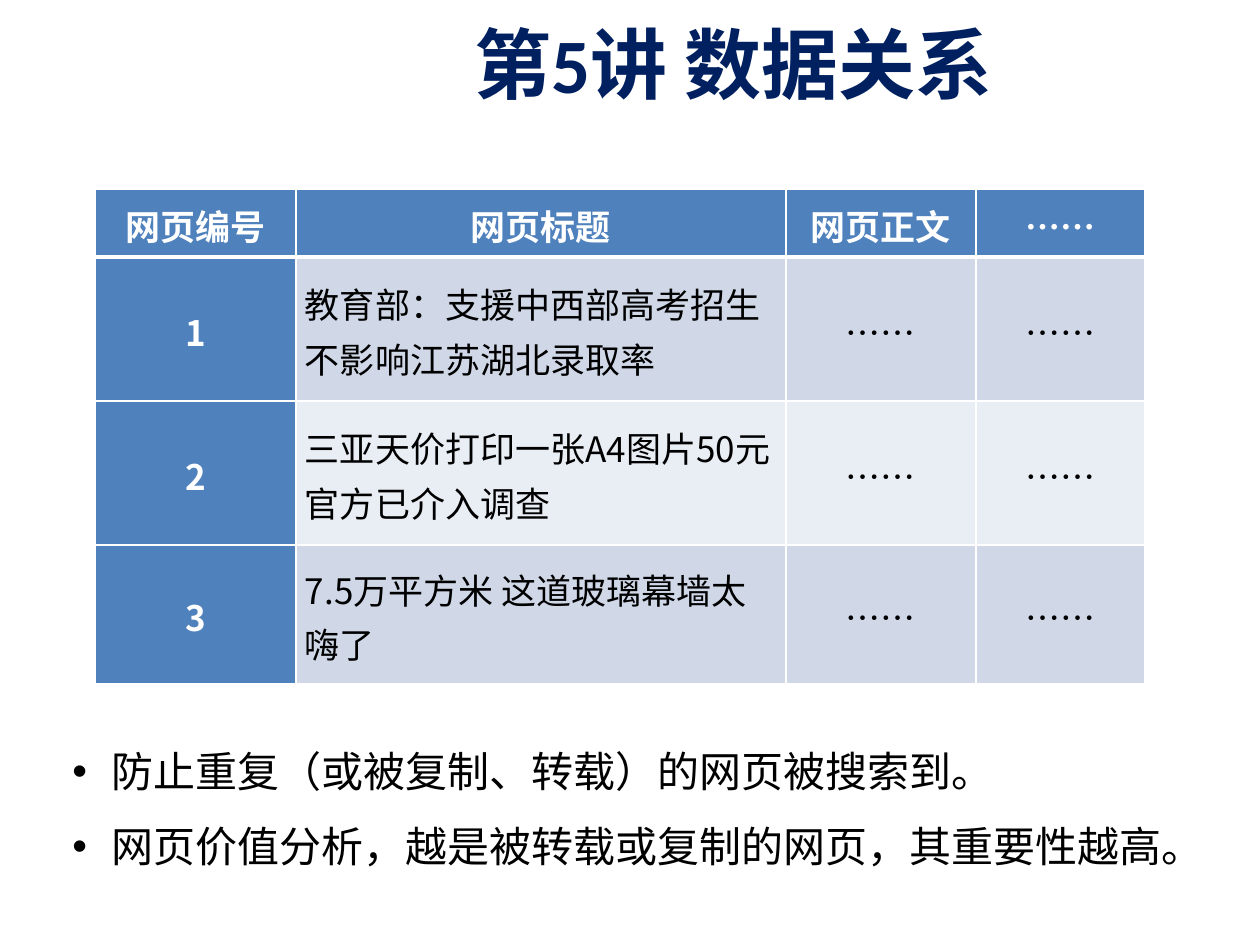
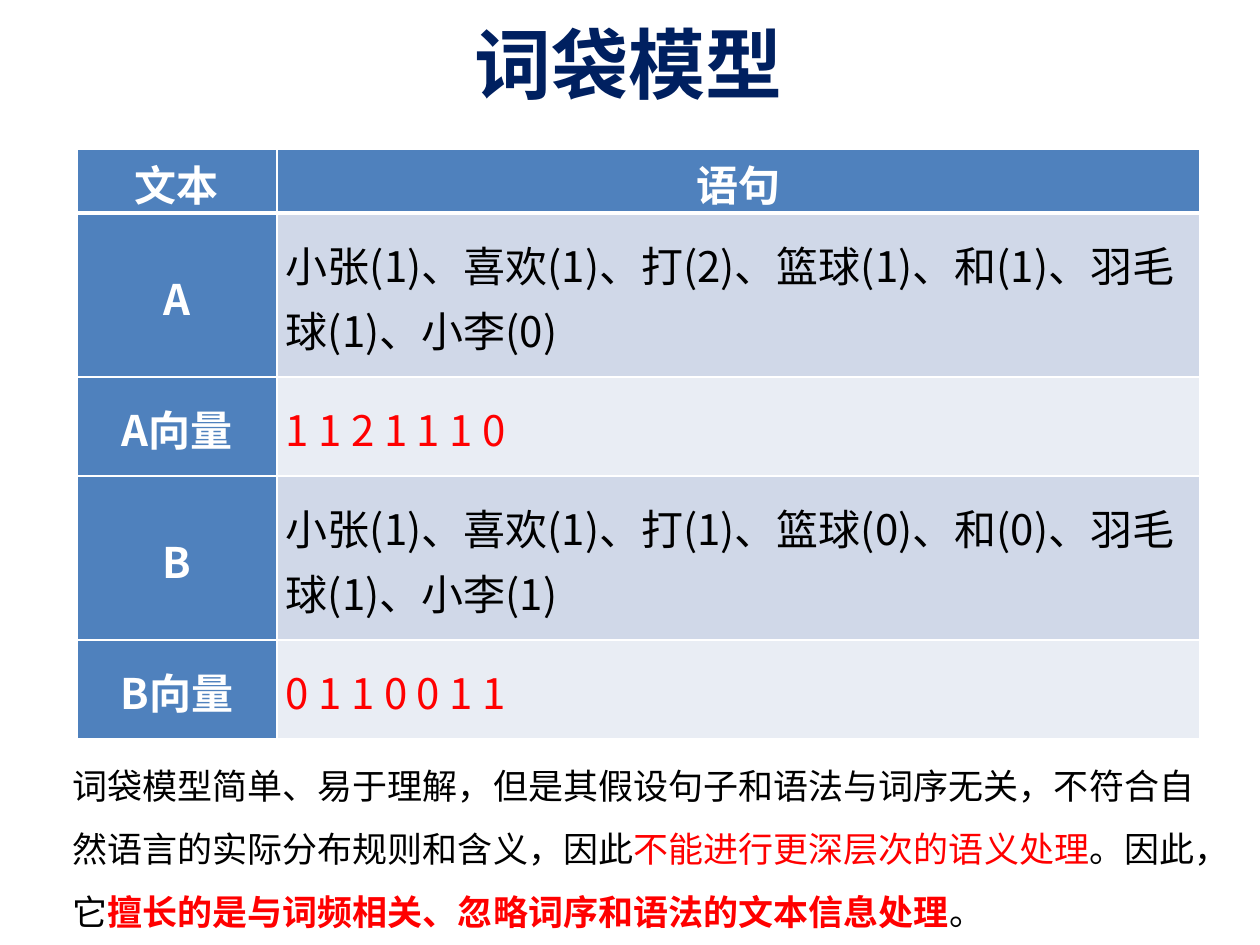
from lxml import etree
from pptx import Presentation
from pptx.dml.color import RGBColor
from pptx.enum.text import MSO_ANCHOR, MSO_AUTO_SIZE, PP_ALIGN
from pptx.oxml.ns import qn
from pptx.util import Pt

PX = 914400 / 126  # EMU per px
COLORS = {
    "title": "002060",
    "head": "4F81BD",
    "band_dark": "D0D8E8",
    "band_light": "E9EDF4",
    "white": "FFFFFF",
    "black": "000000",
    "red": "FF0000",
}
TITLE_FONT, BODY_FONT = "Calibri", "Noto Sans CJK SC"


def px(n):
    return round(n * PX)


def rgb(name):
    return RGBColor.from_string(COLORS[name])


class Deck:
    def __init__(self, width, height):
        self.prs = Presentation()
        self.prs.slide_width, self.prs.slide_height = px(width), px(height)
        self.s = None

    def slide(self, title):
        self.s = self.prs.slides.add_slide(self.prs.slide_layouts[6])
        tf = self.box(462, 21, 714, 126)
        p = tf.paragraphs[0]
        p.line_spacing = 0.9
        self.run(p, title, 44, "title", True, TITLE_FONT)

    def box(self, x, y, w, h):
        tf = self.s.shapes.add_textbox(px(x), px(y), px(w), px(h)).text_frame
        tf.word_wrap = True
        return tf

    def run(self, p, text, size, color="black", bold=False, font=BODY_FONT):
        r = p.add_run()
        r.text = text
        r.font.size, r.font.bold, r.font.name = Pt(size), bold, font
        r.font.color.rgb = rgb(color)
        ea = etree.Element(qn("a:ea"), typeface=BODY_FONT)
        r.font._element.find(qn("a:latin")).addnext(ea)

    def text(self, x, y, w, h, paragraphs, size, bullet=False):
        """Each paragraph is a list of (text, color, bold) runs."""
        tf = self.box(x, y, w, h)
        tf.auto_size = MSO_AUTO_SIZE.SHAPE_TO_FIT_TEXT
        for i, runs in enumerate(paragraphs):
            p = tf.add_paragraph() if i else tf.paragraphs[0]
            p.line_spacing = 1.5
            if bullet:
                self.bullet(p, 39)
            for text, color, bold in runs:
                self.run(p, text, size, color, bold)
        return tf

    def bullet(self, p, indent):
        pPr = p._p.get_or_add_pPr()
        pPr.set("marL", str(px(indent)))
        pPr.set("indent", str(-px(indent)))
        etree.SubElement(pPr, qn("a:buFont"), typeface="Arial")
        etree.SubElement(pPr, qn("a:buChar"), char="•")

    def table(self, x, y, cols, heights, rows, size, red_rows=()):
        frame = self.s.shapes.add_table(len(rows), len(cols), px(x), px(y),
                                        px(sum(cols)), px(sum(heights)))
        tbl = frame.table
        tbl.first_row = tbl.horz_banding = False
        for col, w in zip(tbl.columns, cols):
            col.width = px(w)
        for row, h in zip(tbl.rows, heights):
            row.height = px(h)
        for i, values in enumerate(rows):
            band = "band_dark" if i % 2 else "band_light"
            for j, value in enumerate(values):
                head = i == 0 or j == 0
                color = "white" if head else "red" if i in red_rows else "black"
                align = PP_ALIGN.LEFT if j == 1 and i else PP_ALIGN.CENTER
                cell = tbl.cell(i, j)
                self.borders(cell, top=3 if i == 1 else 1, bottom=1 if i else 3)
                self.cell(cell, value, size, color, head, align,
                          "head" if head else band)

    def cell(self, cell, value, size, color, bold, align, fill):
        cell.fill.solid()
        cell.fill.fore_color.rgb = rgb(fill)
        cell.vertical_anchor = MSO_ANCHOR.MIDDLE
        cell.margin_left = cell.margin_right = px(9)
        cell.margin_top = cell.margin_bottom = 0
        p = cell.text_frame.paragraphs[0]
        p.alignment, p.line_spacing = align, 1.07
        self.run(p, value, size, color, bold)

    def borders(self, cell, top, bottom):
        tcPr = cell._tc.get_or_add_tcPr()
        for side, width in zip("LRTB", (1, 1, top, bottom)):
            ln = etree.SubElement(tcPr, qn(f"a:ln{side}"), w=str(Pt(width)))
            fill = etree.SubElement(ln, qn("a:solidFill"))
            etree.SubElement(fill, qn("a:srgbClr"), val=COLORS["white"])


def main():
    deck = Deck(1260, 945)

    # Slide 1: web page table and its uses
    deck.slide("第5讲 数据关系")
    more = "……"
    headlines = [
        "教育部：支援中西部高考招生不影响江苏湖北录取率",
        "三亚天价打印一张A4图片50元 官方已介入调查",
        "7.5万平方米 这道玻璃幕墙太嗨了",
    ]
    pages = [["网页编号", "网页标题", "网页正文", more]]
    pages += [[str(n), line, more, more] for n, line in enumerate(headlines, 1)]
    deck.table(95, 189, [201, 490, 190, 169], [68, 144, 144, 139], pages, 20)
    uses = ["防止重复（或被复制、转载）的网页被搜索到。",
            "网页价值分析，越是被转载或复制的网页，其重要性越高。"]
    tf = deck.text(60, 714, 1119, 165,
                   [[(use, "black", False)] for use in uses], 24, bullet=True)
    tf.paragraphs[0].alignment = PP_ALIGN.JUSTIFY

    # Slide 2: word counts and vectors
    deck.slide("词袋模型")
    words = ["小张", "喜欢", "打", "篮球", "和", "羽毛球", "小李"]
    vectors = {"A": [1, 1, 2, 1, 1, 1, 0], "B": [0, 1, 1, 0, 0, 1, 1]}
    counts = {"A": vectors["A"], "B": [1, 1, 1, 0, 0, 1, 1]}
    bag = [["文本", "语句"]]
    for name, vector in vectors.items():
        pairs = zip(words, counts[name])
        bag.append([name, "、".join(f"{word}({n})" for word, n in pairs)])
        bag.append([f"{name}向量", " ".join(map(str, vector))])
    deck.table(77, 149, [200, 923], [64, 164, 99, 164, 99], bag, 24,
               red_rows=(2, 4))
    deck.text(60, 737, 1149, 204, [[
        ("词袋模型简单、易于理解，但是其假设句子和语法与词序无关，"
         "不符合自然语言的实际分布规则和含义，因此", "black", False),
        ("不能进行更深层次的语义处理", "red", False),
        ("。因此，它", "black", False),
        ("擅长的是与词频相关、忽略词序和语法的文本信息处理", "red", True),
        ("。", "black", False),
    ]], 20)

    deck.prs.save("out.pptx")


if __name__ == "__main__":
    main()
